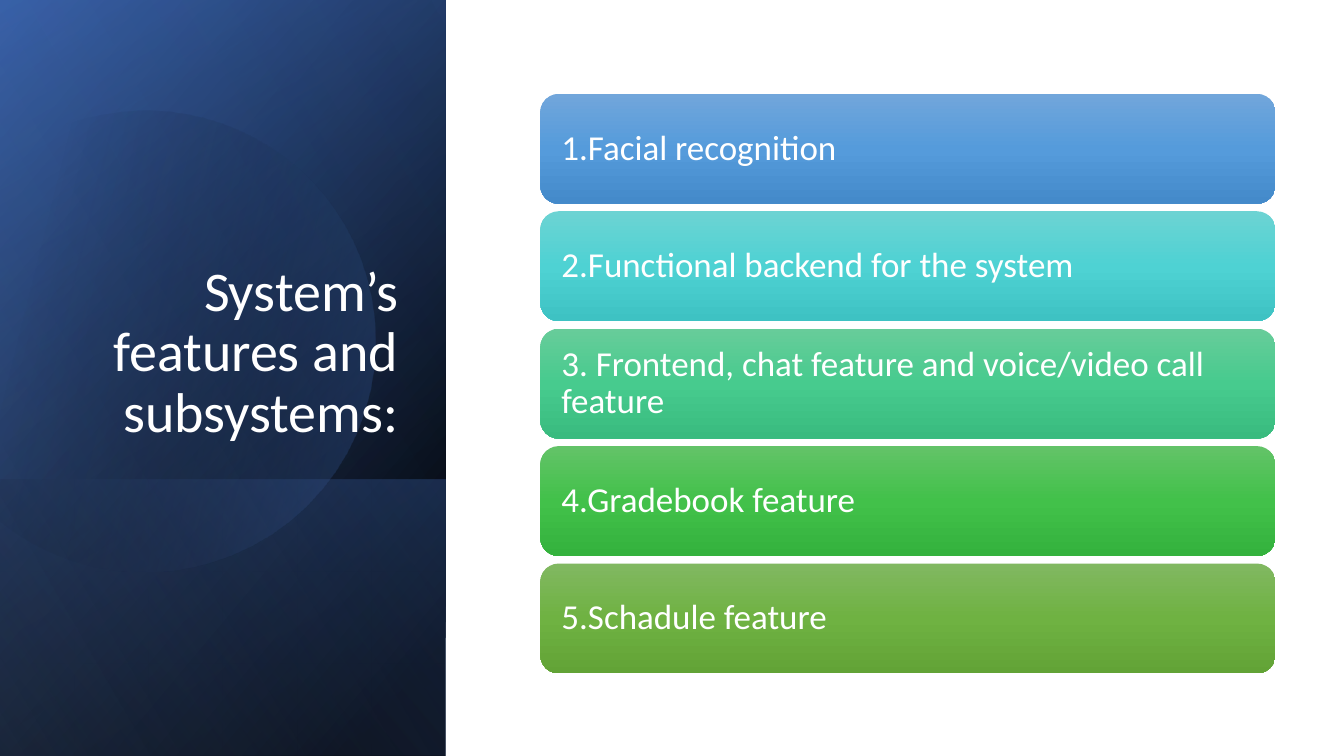
from dataclasses import dataclass
from math import cos, radians, sin

from pptx import Presentation
from pptx.dml.color import RGBColor
from pptx.enum.shapes import MSO_SHAPE
from pptx.enum.text import MSO_ANCHOR, MSO_AUTO_SIZE, PP_ALIGN
from pptx.oxml import parse_xml
from pptx.oxml.ns import nsdecls, qn
from pptx.util import Pt


@dataclass(frozen=True)
class Theme:
    font: str = "Calibri"
    title_size: float = 40
    card_size: float = 25
    text: str = "FFFFFF"
    black: str = "000000"
    navy: str = "2F5597"
    blue: str = "4472C4"
    pale: str = "8FAADC"
    cards: tuple = (
        ("71A6DB", "559BDB", "448ACA"),
        ("6CD3D3", "4ED2D3", "3EC2C3"),
        ("67CC9A", "47CB8E", "39BB7F"),
        ("63C368", "42C14A", "34B23D"),
        ("81B861", "6FB242", "62A336"),
    )


THEME = Theme()
TITLE = "System’s features and subsystems:"
FEATURES = (
    "1.Facial recognition",
    "2.Functional backend for the system",
    "3. Frontend, chat feature and voice/video call feature",
    "4.Gradebook feature",
    "5.Schadule feature",
)
DISC_TILT = 16.1
DISC_CENTRE = (114.1, 240.8)
DISC_START = (107.3, 79.2)
# Each step holds one end point, or two control points and an end point.
DISC_STEPS = (
    ((177.1, 80.6), (241.2, 127.4), (261.4, 198)),
    ((286.6, 285.8), (236.2, 376.6), (149, 401.8)),
    ((94.3, 417.6), (38.2, 403.9), (-2.2, 370.1)),
    ((-10.8, 362.2),),
    ((-10.8, 126),),
    ((0, 115.9),),
    ((16.6, 102.2), (36, 92.2), (57.6, 85.7)),
    ((74.2, 81.4), (90.7, 79.2), DISC_START),
)


def paint(sp, stops, angle):
    """Fill with a linear gradient of (position, colour, opacity) stops in percent."""
    sp.shadow.inherit = False
    sp.line.fill.background()
    sp.fill.background()
    marks = "".join(
        f'<a:gs pos="{pos * 1000}"><a:srgbClr val="{color}">'
        f'<a:alpha val="{alpha * 1000}"/></a:srgbClr></a:gs>'
        for pos, color, alpha in stops)
    spPr = sp._element.spPr
    spPr.replace(spPr.find(qn("a:noFill")), parse_xml(
        f'<a:gradFill {nsdecls("a")} rotWithShape="1"><a:gsLst>{marks}</a:gsLst>'
        f'<a:lin ang="{angle * 60000}" scaled="0"/></a:gradFill>'))


def write(sp, text, size, align=PP_ALIGN.LEFT, anchor=MSO_ANCHOR.MIDDLE,
          inset_x=7.2, inset_y=3.6):
    tf = sp.text_frame
    tf.word_wrap = True
    tf.auto_size = MSO_AUTO_SIZE.NONE
    tf.vertical_anchor = anchor
    tf.margin_left = tf.margin_right = Pt(inset_x)
    tf.margin_top = tf.margin_bottom = Pt(inset_y)
    p = tf.paragraphs[0]
    p.alignment = align
    p.line_spacing = 0.9
    r = p.add_run()
    r.text = text
    r.font.name = THEME.font
    r.font.size = Pt(size)
    r.font.color.rgb = RGBColor.from_string(THEME.text)


def add_layer(s, x, y, w, h, stops, angle):
    """Add a mirrored rectangle, turned a quarter, that covers the given box."""
    sp = s.shapes.add_shape(MSO_SHAPE.RECTANGLE, Pt(x + (w - h) / 2),
                            Pt(y + (h - w) / 2), Pt(h), Pt(w))
    sp.rotation = 90
    sp._element.spPr.get_or_add_xfrm().set("flipH", "1")
    paint(sp, stops, angle)


def disc_outline(samples=16):
    """Return the disc's outline as points, with curves sampled evenly."""
    points = [DISC_START]
    for step in DISC_STEPS:
        if len(step) == 1:
            points.append(step[0])
            continue
        curve = (points[-1], *step)
        for i in range(1, samples + 1):
            t = i / samples
            weights = ((1 - t) ** 3, 3 * t * (1 - t) ** 2, 3 * t * t * (1 - t), t ** 3)
            points.append(tuple(sum(k * pt[axis] for k, pt in zip(weights, curve))
                                for axis in (0, 1)))
    return points


def add_disc(s, x, y):
    """Build the disc upright, then tilt it so that its gradient tilts too."""
    cx, cy = DISC_CENTRE
    c, d = cos(radians(DISC_TILT)), sin(radians(DISC_TILT))
    upright = [(Pt(x + cx + (px - cx) * c - (py - cy) * d),
                Pt(y + cy + (px - cx) * d + (py - cy) * c))
               for px, py in disc_outline()]
    builder = s.shapes.build_freeform(*upright[0])
    builder.add_line_segments(upright[1:], close=True)
    sp = builder.convert_to_shape()
    sp.rotation = 360 - DISC_TILT
    paint(sp, ((29, THEME.black, 0), (100, THEME.blue, 43)), 30)


def add_title_panel(s, x, y, w, h):
    foot = 197.3
    add_layer(s, x, y, w, h, ((8, THEME.black, 100), (100, THEME.navy, 100)), 50)
    add_layer(s, x, y, w, h, ((0, THEME.black, 0), (99, THEME.blue, 46)), 30)
    add_layer(s, x, y + h - foot, w, foot,
              ((2, THEME.blue, 29), (100, THEME.black, 30)), 130)
    add_disc(s, x, y)
    add_layer(s, x, y, w, h, ((0, THEME.black, 0), (99, THEME.pale, 11)), 120)

    title = s.shapes.title
    title.left, title.top = Pt(x + 46), Pt(y + 132.5)
    title.width, title.height = Pt(w - 72.7), Pt(188.6)
    write(title, TITLE, THEME.title_size, align=PP_ALIGN.RIGHT, anchor=MSO_ANCHOR.BOTTOM)
    s.shapes._spTree.append(title._element)  # bring in front of the panel


def add_feature_cards(s, x, y, w, h, gap=5.4):
    card_h = (h - gap * (len(FEATURES) - 1)) / len(FEATURES)
    for i, (text, colors) in enumerate(zip(FEATURES, THEME.cards)):
        sp = s.shapes.add_shape(MSO_SHAPE.ROUNDED_RECTANGLE, Pt(x),
                                Pt(y + i * (card_h + gap)), Pt(w), Pt(card_h))
        paint(sp, [(pos, color, 100) for pos, color in zip((0, 50, 100), colors)], 90)
        write(sp, text, THEME.card_size, inset_x=11.2, inset_y=7.2)


def main():
    prs = Presentation()
    prs.slide_width, prs.slide_height = Pt(960), Pt(540)
    s = prs.slides.add_slide(prs.slide_layouts[5])
    add_title_panel(s, 0, 0, 318.3, 540)
    add_feature_cards(s, 386, 67, 525, 414)
    prs.save("out.pptx")


if __name__ == "__main__":
    main()
